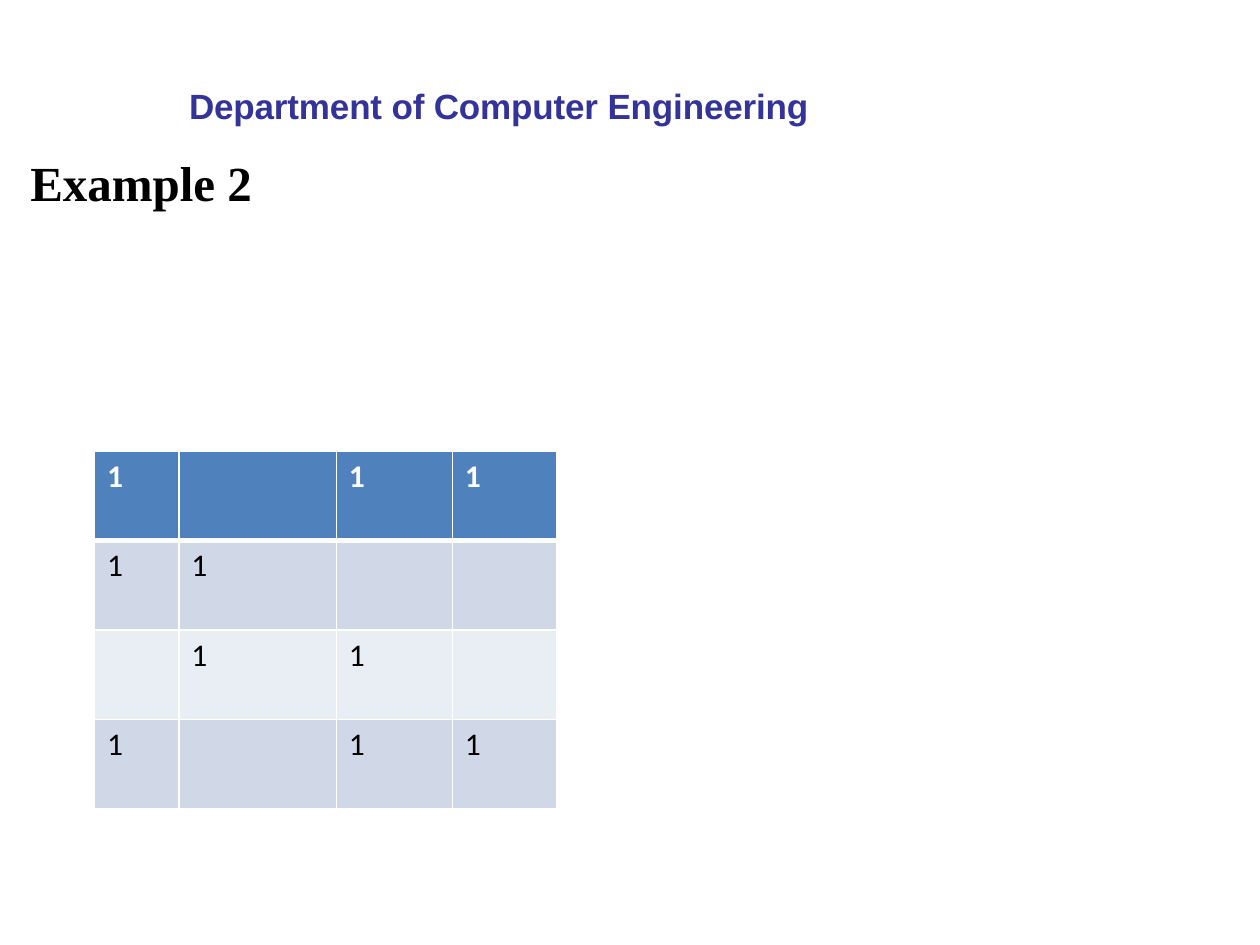
"""Build the Example 2 slide with its grid of ones."""
from dataclasses import dataclass

from lxml.etree import SubElement as Sub
from pptx import Presentation
from pptx.dml.color import RGBColor
from pptx.enum.text import MSO_ANCHOR as Anchor, MSO_AUTO_SIZE as Auto, PP_ALIGN as Align
from pptx.oxml.ns import qn
from pptx.util import Inches, Pt

BLACK = RGBColor(0x00, 0x00, 0x00)
WHITE = RGBColor(0xFF, 0xFF, 0xFF)
NAVY = RGBColor(0x33, 0x33, 0x99)
BLUE = RGBColor(0x4F, 0x81, 0xBD)
BANDS = (RGBColor(0xE9, 0xED, 0xF4), RGBColor(0xD0, 0xD8, 0xE8))

WIDTHS = (0.67, 1.25, 0.92, 0.83)
HEIGHT = 0.71
GRID = ("1 11", "11  ", " 11 ", "1 11")


@dataclass
class Label:
    text: str
    box: tuple[float, float, float, float]
    face: str
    size: int
    color: RGBColor
    top: float = 0
    track: int = 0


def style(run, face: str, size: int, color: RGBColor, bold: bool) -> None:
    """Format the font of a run."""
    for key, value in {"name": face, "size": Pt(size), "bold": bold}.items():
        setattr(run.font, key, value)
    run.font.color.rgb = color


def write(shape, label: Label) -> None:
    """Place a shape and fill it with its label."""
    for key, value in zip(("left", "top", "width", "height"), label.box):
        setattr(shape, key, Inches(value))
    frame = shape.text_frame
    form = {
        "margin_left": 0, "margin_right": 0, "margin_bottom": 0,
        "margin_top": Inches(label.top), "word_wrap": True,
        "auto_size": Auto.SHAPE_TO_FIT_TEXT, "vertical_anchor": Anchor.TOP,
    }
    for key, value in form.items():
        setattr(frame, key, value)
    para = frame.paragraphs[0]
    para.alignment = Align.LEFT
    run = para.add_run()
    run.text = label.text
    style(run, label.face, label.size, label.color, True)
    if label.track:
        run.font._element.set("spc", str(label.track))


def edge(cell, side: str, width: float) -> None:
    """Draw one white border of a cell."""
    line = Sub(cell._tc.get_or_add_tcPr(), qn(f"a:ln{side}"), w=str(Pt(width)))
    Sub(Sub(line, qn("a:solidFill")), qn("a:srgbClr"), val=str(WHITE))


def draw(slide) -> None:
    """Draw the grid of ones as a table."""
    size = Inches(sum(WIDTHS)), Inches(HEIGHT * len(GRID))
    table = slide.shapes.add_table(
        len(GRID), len(WIDTHS), Inches(0.75), Inches(3.58), *size).table
    for col, width in zip(table.columns, WIDTHS):
        col.width = Inches(width)
    for y, marks in enumerate(GRID):
        table.rows[y].height = Inches(HEIGHT)
        head = y == 0
        for x, mark in enumerate(marks):
            cell = table.cell(y, x)
            thick = {"L": 1, "R": 1, "T": 3 if y == 1 else 1, "B": 3 if head else 1}
            for side, width in thick.items():
                edge(cell, side, width)
            cell.fill.solid()
            cell.fill.fore_color.rgb = BLUE if head else BANDS[y % 2]
            if mark.strip():
                run = cell.text_frame.paragraphs[0].add_run()
                run.text = mark
                style(run, "Calibri", 18, WHITE if head else BLACK, head)


def main() -> None:
    """Build and save the deck."""
    deck = Presentation()
    deck.slide_width, deck.slide_height = Inches(10), Inches(7.5)
    slide = deck.slides.add_slide(deck.slide_layouts[5])
    write(slide.shapes.title, Label(
        "Example 2", (0.24, 1.21, 2.97, 0.47), "Times New Roman", 28, BLACK))
    draw(slide)
    write(slide.shapes.add_textbox(0, 0, 0, 0), Label(
        "Department of Computer Engineering", (1.5, 0.66, 4.98, 0.36),
        "Arial", 20, NAVY, top=0.01, track=-10))
    deck.save("out.pptx")


if __name__ == "__main__":
    main()
